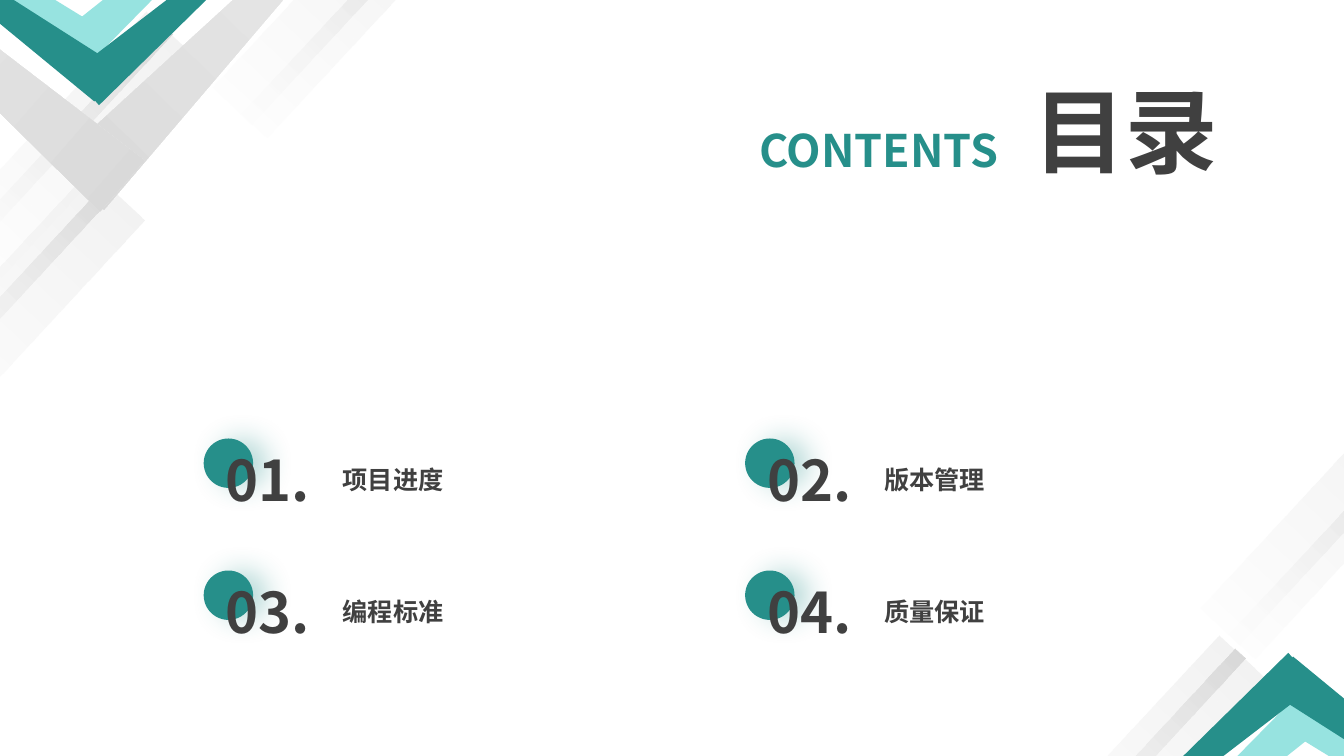
"""Build the contents slide with corner chevrons and four numbered topics."""
from lxml.etree import SubElement
from pptx import Presentation
from pptx.dml.color import RGBColor
from pptx.enum.shapes import MSO_SHAPE as Shape
from pptx.enum.text import MSO_AUTO_SIZE as AutoSize, PP_ALIGN as Align
from pptx.oxml.ns import qn
from pptx.util import Inches, Pt

TOPICS = ["项目进度", "版本管理", "编程标准", "质量保证"]
HEADINGS = [
    ("CONTENTS", (7.43, 1.17, 2.7, 0.64), "subtitle", "teal", Align.JUSTIFY),
    ("目录", (10, 0.69, 2.33, 1.21), "title", "dark", Align.CENTER),
]
THEME = {
    "font": "Noto Sans CJK JP",
    "colors": {"teal": "268F8A", "aqua": "97E3E0", "dark": "404040",
               "pale": "F2F2F2", "grey": "D9D9D9"},
    "sizes": {"title": 66, "subtitle": 32, "number": 40, "topic": 18},
}

GRID_LEFT, GRID_TOP = 2.02, 4.35
COLUMN_STEP, ROW_STEP, COLUMNS = 5.37, 1.31, 2
DOT = 0.49

TOP_BANDS = [((3.37, 0.05), 1), ((0.73, 1.43), -1), ((0.17, 3), -1)]
BOTTOM_BANDS = [((11.37, 7.62), -1), ((13.17, 5.21), 1)]
BAND_SIZE, STRIPE_SIZE, BAND_TILT = (0.74, 2.91), (0.15, 2.91), 42.8
STRIPE_SHIFT = (0.06, 0.07)

CHEVRON_SIZE, WIDE_SIZE = (0.42, 3.46), (0.67, 5.44)
CHEVRONS = [
    ((1.98, -0.63), 48, "aqua"), ((-0.5, -0.52), 305, "aqua"),
    ((2.15, -0.25), 49, "teal"), ((-0.34, -0.18), 306, "teal"),
]
WIDE_CHEVRONS = [((2.68, -0.11), 44), ((-0.84, 0.06), 311)]
MIRROR_SUM = (13.76, 7.52)


def color(name):
    return RGBColor.from_string(THEME["colors"][name])


def add_shape(page, kind, center, size, fill, tilt=0):
    (x, y), (width, height) = center, size
    shape = page.shapes.add_shape(kind, Inches(x - width / 2), Inches(y - height / 2),
                                  Inches(width), Inches(height))
    shape.rotation = tilt
    shape.shadow.inherit = False
    shape.line.fill.background()
    if isinstance(fill, str):
        shape.fill.solid()
        shape.fill.fore_color.rgb = color(fill)
    else:
        shape.fill.gradient()
        shape.fill.gradient_angle = 270
        for stop, name in zip(shape.fill.gradient_stops, fill):
            stop.color.rgb = color(name)
    return shape


def fade_out(shape):
    last = shape.element.spPr.findall(".//" + qn("a:srgbClr"))[-1]
    SubElement(last, qn("a:alpha"), val="0")


def add_glow(shape):
    effects = shape.element.spPr.find(qn("a:effectLst"))
    shadow = SubElement(effects, qn("a:outerShdw"), blurRad=str(Pt(20)), dist=str(Pt(10)),
                        dir="0", algn="ctr", rotWithShape="0")
    tint = SubElement(shadow, qn("a:srgbClr"), val=THEME["colors"]["teal"])
    SubElement(tint, qn("a:alpha"), val="32000")


def add_text(page, text, place, size, tone, align=Align.LEFT, wrap=True):
    box = page.shapes.add_textbox(*map(Inches, place))
    frame = box.text_frame
    frame.text = text
    frame.word_wrap = wrap
    frame.auto_size = AutoSize.SHAPE_TO_FIT_TEXT
    para = frame.paragraphs[0]
    para.alignment = align
    span = para.runs[0]
    span.font.name = THEME["font"]
    span.font.size = Pt(THEME["sizes"][size])
    span.font.bold = True
    span.font.color.rgb = color(tone)
    SubElement(span.font._element, qn("a:ea"), typeface=THEME["font"])


def add_topic(page, index, topic):
    row, column = divmod(index, COLUMNS)
    left, top = GRID_LEFT + column * COLUMN_STEP, GRID_TOP + row * ROW_STEP
    dot = add_shape(page, Shape.OVAL, (left + DOT / 2, top + DOT / 2), (DOT, DOT), "teal")
    add_glow(dot)
    add_text(page, f"{index + 1:02}.", (left + 0.12, top + 0.02, 1.04, 0.77),
             "number", "dark", wrap=False)
    add_text(page, topic, (left + 1.28, top + 0.21, 2.93, 0.4), "topic", "dark")


def add_bands(page, bands):
    for (x, y), side in bands:
        stripe_center = (x + side * STRIPE_SHIFT[0], y + side * STRIPE_SHIFT[1])
        fade_out(add_shape(page, Shape.RECTANGLE, (x, y), BAND_SIZE,
                           ("pale", "pale"), BAND_TILT))
        fade_out(add_shape(page, Shape.RECTANGLE, stripe_center, STRIPE_SIZE,
                           ("grey", "pale"), BAND_TILT))


def add_corners(page):
    triangle = Shape.ISOSCELES_TRIANGLE
    add_bands(page, TOP_BANDS)
    for center, tilt, fill in CHEVRONS:
        add_shape(page, triangle, center, CHEVRON_SIZE, fill, tilt)
    for center, tilt in WIDE_CHEVRONS:
        add_shape(page, triangle, center, WIDE_SIZE, ("pale", "grey"), tilt)
    add_bands(page, BOTTOM_BANDS)
    for (x, y), tilt, fill in CHEVRONS:
        mirrored = (MIRROR_SUM[0] - x, MIRROR_SUM[1] - y)
        add_shape(page, triangle, mirrored, CHEVRON_SIZE, fill, (tilt + 180) % 360)


def main():
    deck = Presentation()
    deck.slide_width, deck.slide_height = Inches(13.33), Inches(7.5)
    page = deck.slides.add_slide(deck.slide_layouts[6])
    for index, topic in enumerate(TOPICS):
        add_topic(page, index, topic)
    for heading in HEADINGS:
        add_text(page, *heading)
    add_corners(page)
    deck.save("out.pptx")


if __name__ == "__main__":
    main()
